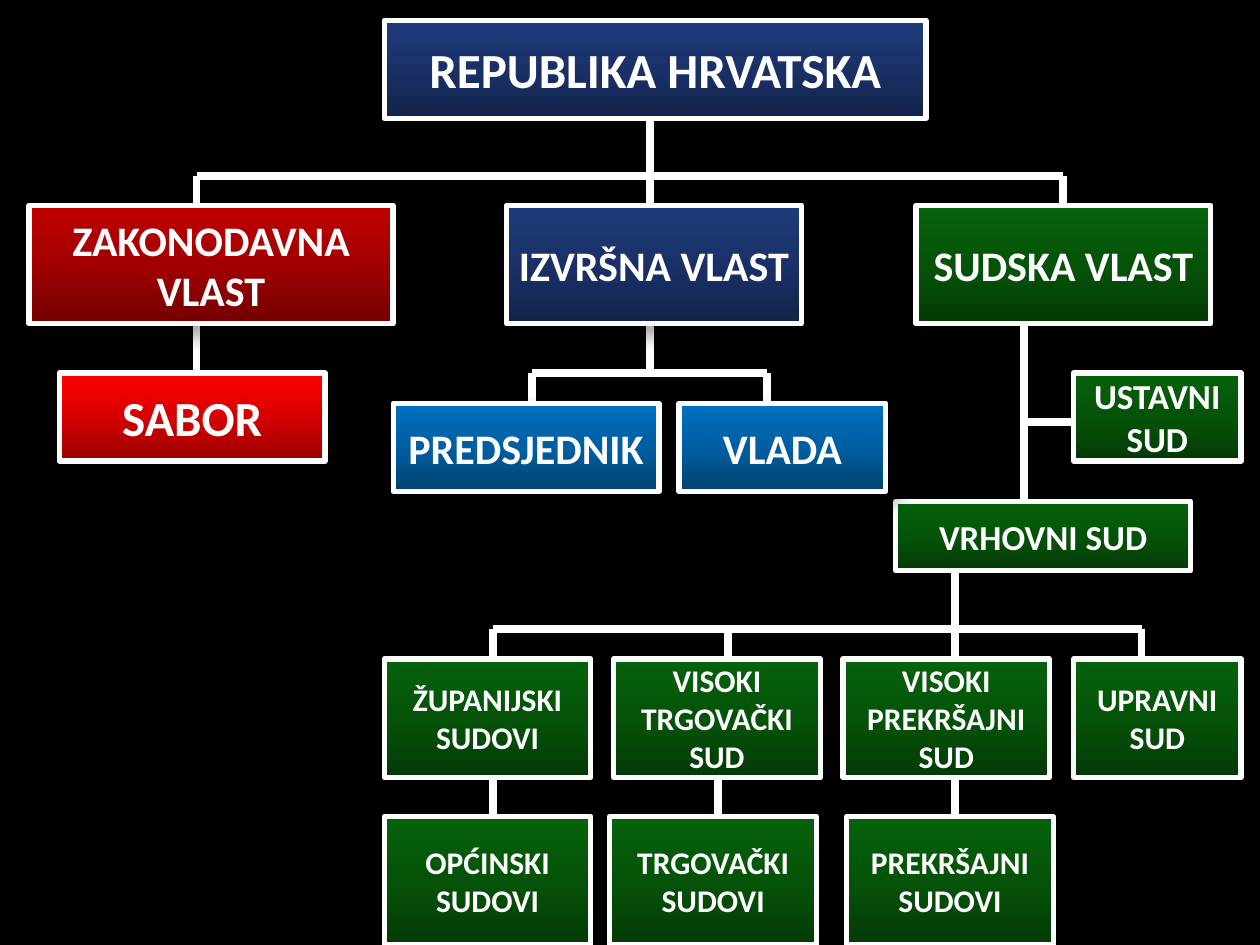
import copy

import lxml.etree
import pptx
import pptx.dml.color
import pptx.enum.shapes
import pptx.enum.text
import pptx.oxml
import pptx.oxml.ns
import pptx.util

Inches = pptx.util.Inches
RGBColor = pptx.dml.color.RGBColor

BLACK = RGBColor(0x00, 0x00, 0x00)
WHITE = RGBColor(0xFF, 0xFF, 0xFF)
NAVY = (RGBColor(0x12, 0x23, 0x49), RGBColor(0x1A, 0x31, 0x68), RGBColor(0x1F, 0x3B, 0x7B))
GREEN = (RGBColor(0x04, 0x3A, 0x06), RGBColor(0x05, 0x53, 0x09), RGBColor(0x06, 0x62, 0x0B))
DARK_RED = (RGBColor(0x72, 0x00, 0x00), RGBColor(0xA2, 0x00, 0x00), RGBColor(0xC0, 0x00, 0x00))
RED = (RGBColor(0x97, 0x00, 0x00), RGBColor(0xD7, 0x00, 0x00), RGBColor(0xFF, 0x00, 0x00))
BLUE = (RGBColor(0x00, 0x42, 0x72), RGBColor(0x00, 0x5E, 0xA2), RGBColor(0x00, 0x70, 0xC0))

BRANCH_BUS, BRANCH_TOP, BRANCH_BOTTOM = 1.4, 1.63, 2.57
BODY_BUS, BODY_TOP = 2.96, 3.2
SUPREME_TOP, SUPREME_BOTTOM = 3.98, 4.53
COURT_BUS, COURT_TOP, COURT_BOTTOM = 4.99, 5.23, 6.17
LOWER_TOP = 6.48

BRANCH_HEIGHT, BODY_HEIGHT, LOWER_HEIGHT = 0.94, 0.7, 1.02

ROOT_AND_COURTS = [
    ("REPUBLIKA HRVATSKA", 3.05, 0.16, 4.3, 0.78, NAVY, 28),
    ("SUDSKA VLAST", 7.27, BRANCH_TOP, 2.34, BRANCH_HEIGHT, GREEN, 24),
    ("USTAVNI SUD", 8.52, BODY_BUS, 1.33, BODY_HEIGHT, GREEN, 20),
    ("VRHOVNI SUD", 7.11, SUPREME_TOP, 2.34, 0.55, GREEN, 20),
    ("ŽUPANIJSKI SUDOVI", 3.05, COURT_TOP, 1.64, BRANCH_HEIGHT, GREEN, 18),
    ("VISOKI TRGOVAČKI SUD", 4.87, COURT_TOP, 1.64, BRANCH_HEIGHT, GREEN, 18),
    ("UPRAVNI SUD", 8.52, COURT_TOP, 1.33, BRANCH_HEIGHT, GREEN, 18),
    ("OPĆINSKI SUDOVI", 3.05, LOWER_TOP, 1.64, LOWER_HEIGHT, GREEN, 18),
    ("TRGOVAČKI SUDOVI", 4.84, LOWER_TOP, 1.64, LOWER_HEIGHT, GREEN, 18),
]
OTHER_BODIES = [
    ("ZAKONODAVNA VLAST", 0.23, BRANCH_TOP, 2.89, BRANCH_HEIGHT, DARK_RED, 24),
    ("IZVRŠNA VLAST", 4.02, BRANCH_TOP, 2.34, BRANCH_HEIGHT, NAVY, 24),
    ("SABOR", 0.47, BODY_BUS, 2.11, BODY_HEIGHT, RED, 28),
    ("PREDSJEDNIK", 3.12, BODY_TOP, 2.11, BODY_HEIGHT, BLUE, 24),
    ("VLADA", 5.39, BODY_TOP, 1.64, BODY_HEIGHT, BLUE, 24),
    ("VISOKI PREKRŠAJNI SUD", 6.69, COURT_TOP, 1.64, BRANCH_HEIGHT, GREEN, 18),
    ("PREKRŠAJNI SUDOVI", 6.72, LOWER_TOP, 1.64, LOWER_HEIGHT, GREEN, 18),
]
HORIZONTAL_LINES = [
    (1.56, 8.44, BRANCH_BUS),
    (4.22, 6.09, BODY_BUS),
    (8.13, 8.52, 3.35),
    (3.91, 9.06, COURT_BUS),
]
VERTICAL_LINES = [
    (5.16, 0.93, BRANCH_BUS),
    *[(x, BRANCH_BUS, BRANCH_TOP) for x in (1.56, 5.16, 8.44)],
    *[(x, BRANCH_BOTTOM, BODY_BUS) for x in (1.56, 5.16)],
    *[(x, BODY_BUS, BODY_TOP) for x in (4.22, 6.09)],
    (8.13, BRANCH_BOTTOM, SUPREME_TOP),
    (7.58, SUPREME_BOTTOM, COURT_BUS),
    *[(x, COURT_BUS, COURT_TOP) for x in (3.91, 5.78, 9.06)],
    *[(x, COURT_BOTTOM, LOWER_TOP) for x in (3.91, 5.7)],
]
MISDEMEANOUR_LINES = [(7.58, COURT_BUS, COURT_TOP), (7.58, COURT_BOTTOM, LOWER_TOP)]


def set_attributes(target, values):
    for name, value in values.items():
        setattr(target, name, value)


def fill_gradient(shape, colors):
    shape.fill.gradient()
    shape.fill.gradient_angle = 90
    stop_list = shape._element.spPr.find(".//" + pptx.oxml.ns.qn("a:gsLst"))
    stop_list.insert(1, copy.deepcopy(stop_list[0]))
    for stop, color, position in zip(shape.fill.gradient_stops, colors, (0, 0.5, 1)):
        stop.color.rgb = color
        stop.position = position


def add_shadow(shape):
    shape.shadow.inherit = False
    effects = shape._element.spPr.find(pptx.oxml.ns.qn("a:effectLst"))
    effects.append(pptx.oxml.parse_xml(
        f'<a:outerShdw {pptx.oxml.ns.nsdecls("a")} blurRad="130000" dist="101600" '
        'dir="2700000" algn="tl" rotWithShape="0"><a:srgbClr val="000000">'
        '<a:alpha val="35000"/></a:srgbClr></a:outerShdw>'))


def add_box(slide, text, left, top, width, height, colors, size):
    shape = slide.shapes.add_shape(
        pptx.enum.shapes.MSO_SHAPE.RECTANGLE,
        Inches(left), Inches(top), Inches(width), Inches(height))
    fill_gradient(shape, colors)
    shape.line.color.rgb = WHITE
    shape.line.width = pptx.util.Pt(3)
    add_shadow(shape)
    set_attributes(shape.text_frame, {
        "word_wrap": True,
        "vertical_anchor": pptx.enum.text.MSO_ANCHOR.MIDDLE,
        "margin_left": Inches(0.05),
        "margin_right": Inches(0.05),
    })
    paragraph = shape.text_frame.paragraphs[0]
    paragraph.alignment = pptx.enum.text.PP_ALIGN.CENTER
    run = paragraph.add_run()
    run.text = text
    set_attributes(run.font, {"name": "Calibri", "size": pptx.util.Pt(size), "bold": True})
    run.font.color.rgb = WHITE


def add_line(slide, start_x, start_y, end_x, end_y):
    connector = slide.shapes.add_connector(
        pptx.enum.shapes.MSO_CONNECTOR.STRAIGHT,
        Inches(start_x), Inches(start_y), Inches(end_x), Inches(end_y))
    connector.line.color.rgb = WHITE
    connector.line.width = pptx.util.Pt(4.5)
    lxml.etree.SubElement(connector._element.spPr, pptx.oxml.ns.qn("a:effectLst"))


def add_boxes(slide, boxes):
    for box in boxes:
        add_box(slide, *box)


def add_vertical_lines(slide, lines):
    for x, top, bottom in lines:
        add_line(slide, x, top, x, bottom)


def main():
    presentation = pptx.Presentation()
    set_attributes(presentation, {"slide_width": Inches(10), "slide_height": Inches(7.5)})
    slide = presentation.slides.add_slide(presentation.slide_layouts[6])
    slide.background.fill.solid()
    slide.background.fill.fore_color.rgb = BLACK
    add_boxes(slide, ROOT_AND_COURTS)
    for left, right, y in HORIZONTAL_LINES:
        add_line(slide, left, y, right, y)
    add_vertical_lines(slide, VERTICAL_LINES)
    add_boxes(slide, OTHER_BODIES)
    add_vertical_lines(slide, MISDEMEANOUR_LINES)
    presentation.save("out.pptx")


if __name__ == "__main__":
    main()
